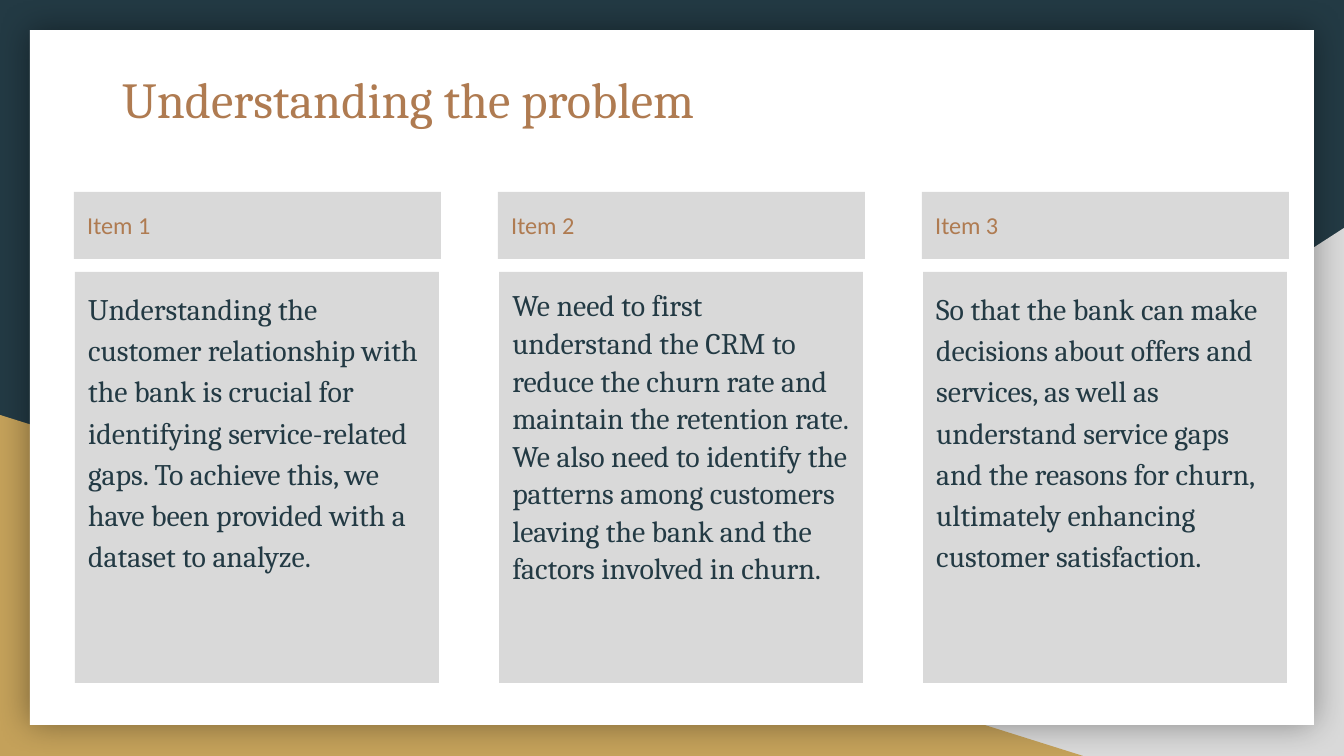
from lxml import etree
from pptx import Presentation, util as u
from pptx.dml.color import RGBColor
from pptx.enum import shapes, text
from pptx.oxml import ns

PX = 914400 / 134.4  # EMU in one px
COLORS = {
    "navy": "233A44",
    "gold": "C4A15A",
    "grey": "D9D9D9",
    "white": "FFFFFF",
    "copper": "AF7B51",
    "black": "000000",
}


def emu(px):
    return u.Emu(round(px * PX))


def rgb(name):
    return RGBColor.from_string(COLORS[name])


class Deck:
    """Holds the style and the current slide."""

    serif, sans = "Cambria", "Calibri"
    inset = u.Inches(0.1)

    def __init__(self, width, height):
        self.prs = Presentation()
        self.prs.slide_width, self.prs.slide_height = emu(width), emu(height)

    def new_slide(self, color):
        self.s = self.prs.slides.add_slide(self.prs.slide_layouts[6])
        fill = self.s.background.fill
        fill.solid()
        fill.fore_color.rgb = rgb(color)

    def shape(self, kind, box, color):
        sp = self.s.shapes.add_shape(kind, *map(emu, box))
        sp.shadow.inherit = False
        sp.fill.solid()
        sp.fill.fore_color.rgb = rgb(color)
        sp.line.fill.background()
        return sp

    def triangle(self, box, color, flip=False):
        sp = self.shape(shapes.MSO_SHAPE.RIGHT_TRIANGLE, box, color)
        if flip:
            sp._element.spPr.xfrm.set("flipH", "1")

    def rect(self, box, color):
        return self.shape(shapes.MSO_SHAPE.RECTANGLE, box, color)

    def panel(self, box, color, blur, opacity):
        sp = self.rect(box, color)
        effects = sp._element.spPr.find(ns.qn("a:effectLst"))
        shadow = etree.SubElement(effects, ns.qn("a:outerShdw"),
                                  blurRad=str(u.Pt(blur)), dist="0",
                                  algn="ctr", rotWithShape="0")
        clr = etree.SubElement(shadow, ns.qn("a:srgbClr"), val=COLORS["black"])
        etree.SubElement(clr, ns.qn("a:alpha"), val=str(opacity * 1000))

    def add_text(self, sp, words, font, size, color, spacing=1.0, after=0):
        tf = sp.text_frame
        tf.word_wrap = True
        tf.vertical_anchor = text.MSO_ANCHOR.TOP
        tf.margin_left = tf.margin_right = self.inset
        tf.margin_top = tf.margin_bottom = self.inset
        p = tf.paragraphs[0]
        p.alignment = text.PP_ALIGN.LEFT
        p.line_spacing = spacing
        p.space_after = u.Pt(after)
        r = p.add_run()
        r.text = words
        r.font.name, r.font.size = font, u.Pt(size)
        r.font.color.rgb = rgb(color)

    def title(self, box, words):
        sp = self.s.shapes.add_textbox(*map(emu, box))
        self.add_text(sp, words, self.serif, 27, "copper")

    def card(self, left, heading, words, spacing):
        head = self.rect((left, 192, 367, 67), "grey")
        self.add_text(head, heading, self.sans, 13, "copper", 1.15)
        body = self.rect((left + 1, 272, 364, 411), "grey")
        self.add_text(body, words, self.serif, 16, "navy", spacing, after=12)


ITEMS = [
    ("Understanding the customer relationship with the bank is crucial for "
     "identifying service-related gaps. To achieve this, we have been "
     "provided with a dataset to analyze.", 1.15),
    ("We need to first understand the CRM to reduce the churn rate and "
     "maintain the retention rate. We also need to identify the patterns "
     "among customers leaving the bank and the factors involved in churn.",
     1.05),
    ("So that the bank can make decisions about offers and services, as well "
     "as understand service gaps and the reasons for churn, ultimately "
     "enhancing customer satisfaction.", 1.15),
]


def main():
    deck = Deck(1344, 756)
    deck.new_slide("navy")

    # Backdrop
    deck.triangle((527, 228, 817, 528), "grey", flip=True)
    deck.triangle((0, 415, 1083, 341), "gold")
    deck.panel((30, 30, 1284, 695), "white", blur=18, opacity=40)

    # Title
    deck.title((109, 55, 1103, 85), "Understanding the problem")

    # Three equal columns
    for i, (words, spacing) in enumerate(ITEMS):
        deck.card(74 + 424 * i, f"Item {i + 1}", words, spacing)

    deck.prs.save("out.pptx")


if __name__ == "__main__":
    main()
